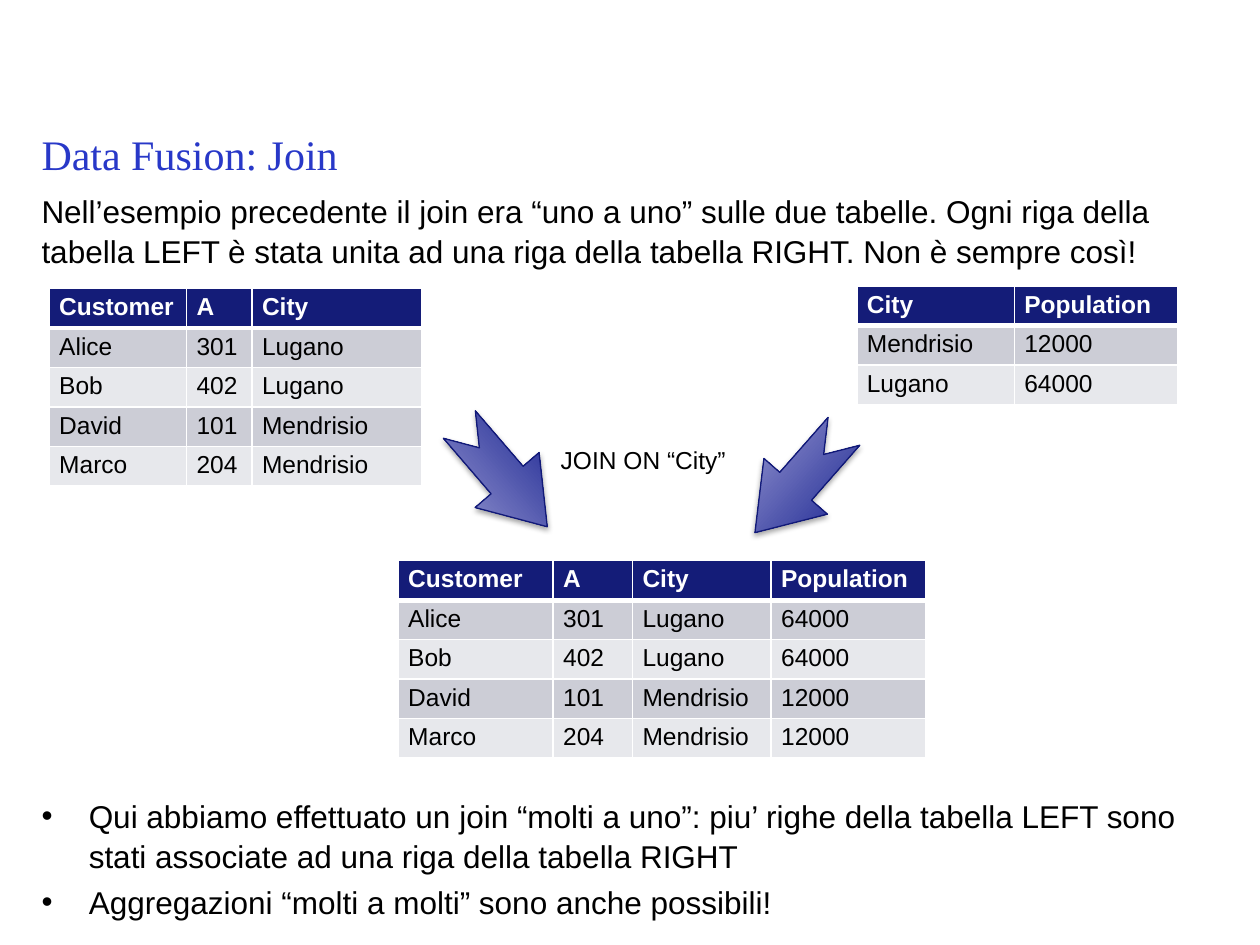
import pptx
import pptx.util
import pptx.dml.color
import pptx.enum.shapes
import pptx.enum.text
import pptx.oxml
import pptx.oxml.ns
from dataclasses import dataclass
from lxml import etree

Pt = pptx.util.Pt
RGB = pptx.dml.color.RGBColor.from_string
NS = 'xmlns:a="http://schemas.openxmlformats.org/drawingml/2006/main"'

# Grid: 100 columns by 75 rows of square cells
COLS, ROWS = 100, 75
CELL = pptx.util.Inches(0.1)


@dataclass(frozen=True)
class Theme:
    title_font: str = "Times New Roman"
    font: str = "Arial"
    title: str = "2838C8"
    ink: str = "000000"
    paper: str = "FFFFFF"
    header: str = "141C78"
    bands: tuple = ("CCCDD6", "E7E8EC")
    arrow: tuple = ("050F87", "ACADDB")
    arrow_line: str = "111978"
    title_size: int = 24
    body_size: int = 18
    small_size: int = 14


T = Theme()


def grid(*cells):
    return [round(c * CELL) for c in cells]


def xml(text):
    return pptx.oxml.parse_xml(text)


def write(p, text, size=T.body_size, font=T.font, color=T.ink, bold=False,
          before=0, spacing=None, bullet=False):
    """Fill one paragraph with formatted text."""
    p.space_before = Pt(before)
    if spacing:
        p.line_spacing = spacing
    r = p.add_run()
    r.text = text
    r.font.size, r.font.name, r.font.bold = Pt(size), font, bold
    r.font.color.rgb = RGB(color)
    if bullet:
        pPr = p._p.get_or_add_pPr()
        indent = grid(3.75)[0]
        pPr.set("marL", str(indent))
        pPr.set("indent", str(-indent))
        pPr.append(xml(f'<a:buFont {NS} typeface="Arial"/>'))
        pPr.append(xml(f'<a:buChar {NS} char="•"/>'))


def text_block(s, box, lines, wrap=True, **fmt):
    """Text box without insets, one paragraph per line."""
    tf = s.shapes.add_textbox(*grid(*box)).text_frame
    tf.word_wrap = wrap
    tf.margin_left = tf.margin_top = tf.margin_right = tf.margin_bottom = 0
    for i, line in enumerate(lines):
        p = tf.add_paragraph() if i else tf.paragraphs[0]
        write(p, line, before=3.6 if i else 0, **fmt)


def borders(cell, bottom):
    """White cell borders; they must come before the fill."""
    tcPr = cell._tc.get_or_add_tcPr()
    for i, (side, width) in enumerate(
            (("lnL", 1), ("lnR", 1), ("lnT", 1), ("lnB", bottom))):
        tcPr.insert(i, xml(
            f'<a:{side} {NS} w="{Pt(width)}"><a:solidFill>'
            f'<a:srgbClr val="{T.paper}"/></a:solidFill></a:{side}>'))


def data_table(s, box, widths, rows):
    """Banded table with a dark header row."""
    table = s.shapes.add_table(len(rows), len(widths), *grid(*box)).table
    for column, width in zip(table.columns, grid(*widths)):
        column.width = width
    for i, row in enumerate(rows):
        table.rows[i].height = grid(box[3] / len(rows))[0]
        head = i == 0
        for j, value in enumerate(row):
            cell = table.cell(i, j)
            cell.margin_left = cell.margin_right = grid(0.8)[0]
            cell.margin_top = cell.margin_bottom = grid(0.4)[0]
            cell.fill.solid()
            cell.fill.fore_color.rgb = RGB(T.header if head else T.bands[(i - 1) % 2])
            borders(cell, 3 if head else 1)
            write(cell.text_frame.paragraphs[0], value, size=T.small_size,
                  color=T.paper if head else T.ink, bold=head)


def join_arrow(s, box, rotation):
    """Notched gradient arrow with a soft shadow."""
    sp = s.shapes.add_shape(
        pptx.enum.shapes.MSO_SHAPE.NOTCHED_RIGHT_ARROW, *grid(*box))
    sp.adjustments[0], sp.adjustments[1] = 0.5, 0.73
    sp.rotation = rotation
    spPr = sp._element.spPr
    spPr.find(pptx.oxml.ns.qn("a:xfrm")).set("flipV", "1")
    sp.fill.gradient()
    sp.fill.gradient_angle = 90
    for stop, position, color in zip(sp.fill.gradient_stops, (0, 1), T.arrow):
        stop.position = position
        stop.color.rgb = RGB(color)
    sp.line.color.rgb = RGB(T.arrow_line)
    sp.line.width = Pt(0.75)
    sp.shadow.inherit = False
    etree.SubElement(spPr, pptx.oxml.ns.qn("a:effectLst")) \
        if spPr.find(pptx.oxml.ns.qn("a:effectLst")) is None else None
    spPr.find(pptx.oxml.ns.qn("a:effectLst")).append(xml(
        f'<a:outerShdw {NS} blurRad="{Pt(3.1)}" dist="{Pt(1.8)}" dir="5400000" '
        'rotWithShape="0"><a:srgbClr val="000000"><a:alpha val="35000"/>'
        '</a:srgbClr></a:outerShdw>'))


def join_diagram(s, box):
    """Two source tables, arrows and the joined table."""
    x, y = box
    customers = [("Alice", "301", "Lugano"), ("Bob", "402", "Lugano"),
                 ("David", "101", "Mendrisio"), ("Marco", "204", "Mendrisio")]
    population = {"Mendrisio": "12000", "Lugano": "64000"}
    left_head = ("Customer", "A", "City")
    joined = [row + (population[row[2]],) for row in customers]

    data_table(s, (x, y + 0.2, 29.6, 15.6), (10.9, 5.2, 13.5),
               [left_head] + customers)
    data_table(s, (x + 64.1, y, 25.5, 9.4), (12.5, 13),
               [("City", "Population")] + list(population.items()))
    data_table(s, (x + 27.7, y + 21.8, 41.8, 15.6), (12.3, 6.3, 11, 12.3),
               [left_head + ("Population",)] + joined)
    join_arrow(s, (x + 30.7, y + 11.7, 10.7, 6.7), 49.3)
    join_arrow(s, (x + 54.2, y + 12.2, 10.7, 6.7), 131.3)
    text_block(s, (x + 40.6, y + 12.6, 13.2, 2.4), ["JOIN ON “City”"],
               wrap=False, size=T.small_size)


def join_slide(prs):
    s = prs.slides.add_slide(prs.slide_layouts[6])
    # Title and introduction
    text_block(s, (3.3, 10.2, 93.3, 4), ["Data Fusion: Join"],
               size=T.title_size, font=T.title_font, color=T.title)
    text_block(s, (3.3, 15.1, 93.3, 6.2), [
        "Nell’esempio precedente il join era “uno a uno” sulle due tabelle. "
        "Ogni riga della tabella LEFT è stata unita ad una riga della tabella "
        "RIGHT. Non è sempre così!"], spacing=1.05)
    # Diagram
    join_diagram(s, (3.9, 22.7))
    # Conclusions
    text_block(s, (3.3, 63.1, 93.3, 10), [
        "Qui abbiamo effettuato un join “molti a uno”: piu’ righe della tabella "
        "LEFT sono stati associate ad una riga della tabella RIGHT",
        "Aggregazioni “molti a molti” sono anche possibili!"],
        spacing=1.05, bullet=True)


prs = pptx.Presentation()
prs.slide_width, prs.slide_height = grid(COLS, ROWS)
join_slide(prs)
prs.save("out.pptx")
